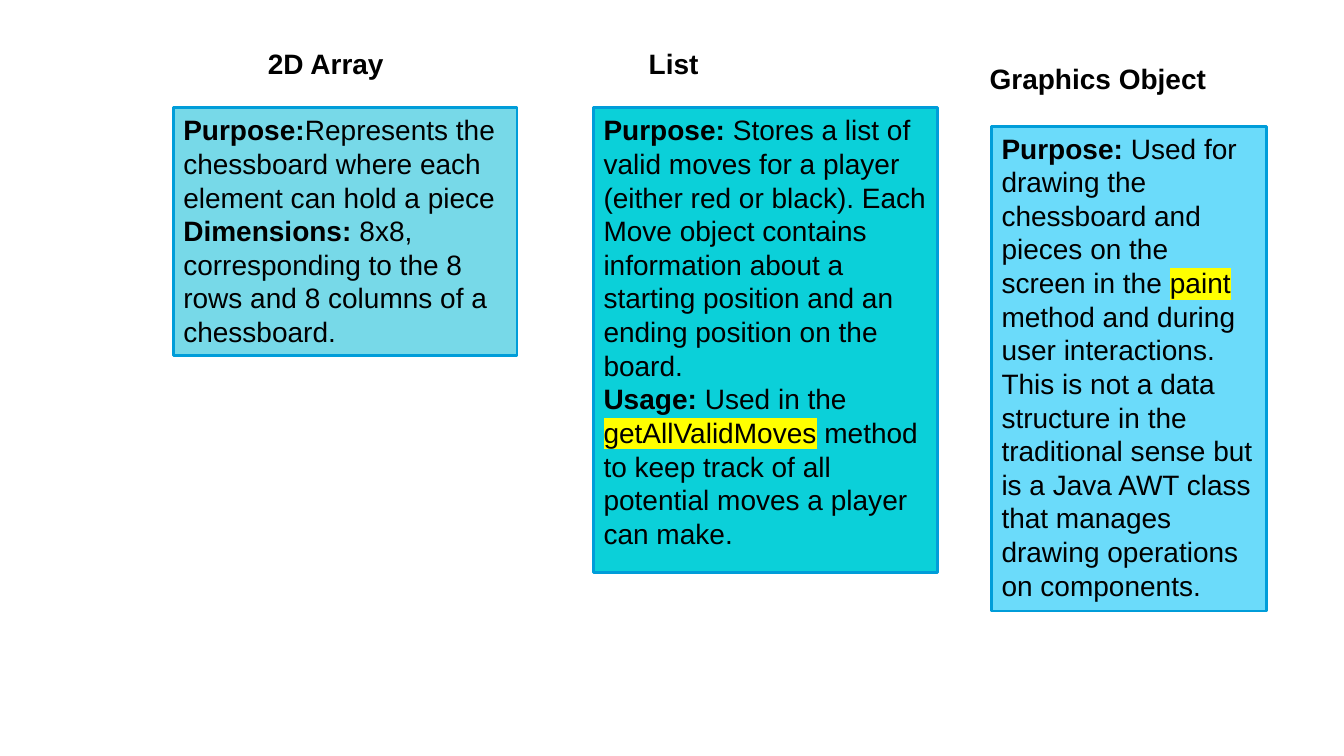
"""Build a slide describing three structures used in a chess program."""
from lxml.etree import SubElement
from pptx import Presentation
from pptx.dml.color import RGBColor
from pptx.enum.shapes import MSO_SHAPE
from pptx.enum.text import MSO_ANCHOR, PP_ALIGN
from pptx.oxml.ns import qn
from pptx.util import Cm, Pt

COLORS = {
    "text": "000000",
    "border": "009DD9",
    "array": "77D9E8",
    "list": "0BD0D9",
    "graphics": "6BDBFA",
    "highlight": "FFFF00",
}

CARDS = [
    ("2D Array", (6.5, 1.04, 4.45, 1.12), (4.37, 2.72, 8.66, 6.25), "array", [
        [("Purpose:", "bold"),
         ("Represents the chessboard where each element can hold a piece", "")],
        [("Dimensions: ", "bold"),
         ("8x8, corresponding to the 8 rows and 8 columns of a chessboard.", "")],
    ]),
    ("List", (16.1, 1.04, 2.11, 1.12), (14.96, 2.72, 8.66, 11.71), "list", [
        [("Purpose:", "bold"),
         (" Stores a list of valid moves for a player (either red or black). "
          "Each Move object contains information about a starting position "
          "and an ending position on the board.", "")],
        [("Usage: ", "bold"),
         ("Used in the ", ""),
         ("getAllValidMoves", "highlight"),
         (" method to keep track of all potential moves a player can make.", "")],
    ]),
    ("Graphics Object", (24.69, 1.42, 7.77, 1.12), (24.99, 3.18, 6.93, 12.22), "graphics", [
        [("Purpose:", "bold"),
         (" Used for drawing the chessboard and pieces on the screen in the ", ""),
         ("paint", "highlight"),
         (" method and during user interactions. This is not a data structure "
          "in the traditional sense but is a Java AWT class that manages "
          "drawing operations on components.", "")],
    ]),
]


def add_run(p, text, style):
    r = p.add_run()
    r.text = text
    r.font.size = Pt(20)
    r.font.bold = style == "bold"
    r.font.color.rgb = RGBColor.from_string(COLORS["text"])
    if style == "highlight":
        mark = SubElement(r._r.get_or_add_rPr(), qn("a:highlight"))
        SubElement(mark, qn("a:srgbClr"), val=COLORS["highlight"])
    r.font.name = "Arial"


prs = Presentation()
prs.slide_width, prs.slide_height = Cm(33.87), Cm(19.05)
s = prs.slides.add_slide(prs.slide_layouts[6])

for heading, heading_at, box_at, fill, paragraphs in CARDS:
    tf = s.shapes.add_textbox(*map(Cm, heading_at)).text_frame
    tf.word_wrap = True
    add_run(tf.paragraphs[0], heading, "bold")

    sp = s.shapes.add_shape(MSO_SHAPE.RECTANGLE, *map(Cm, box_at))
    sp.shadow.inherit = False
    sp.fill.solid()
    sp.fill.fore_color.rgb = RGBColor.from_string(COLORS[fill])
    sp.line.color.rgb = RGBColor.from_string(COLORS["border"])
    sp.line.width = Pt(2)
    tf = sp.text_frame
    tf.word_wrap = True
    tf.vertical_anchor = MSO_ANCHOR.TOP
    for i, runs in enumerate(paragraphs):
        p = tf.add_paragraph() if i else tf.paragraphs[0]
        p.alignment = PP_ALIGN.LEFT
        for text, style in runs:
            add_run(p, text, style)

prs.save("out.pptx")
